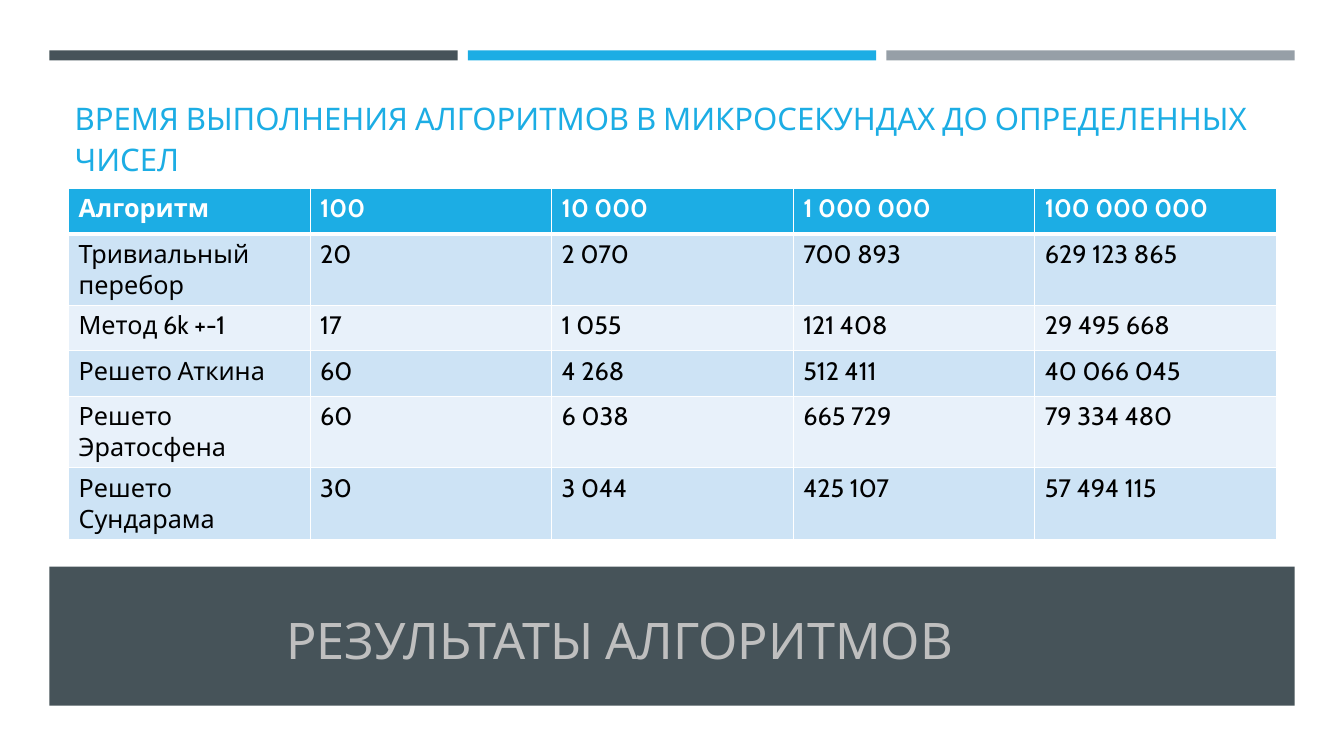
from pptx import Presentation
from pptx import util as u
from pptx.dml.color import RGBColor
from pptx.enum import shapes, text
from pptx.oxml import parse_xml
from pptx.oxml.ns import nsdecls

PX = 9144  # 100 px to the inch
DARK, BLUE, GREY, SILVER = "465359", "1CADE4", "969FA7", "BFBFBF"
WHITE, BLACK = "FFFFFF", "000000"
BANDS = ["CDE3F5", "E8F1FA"]
ROWS = [
    ["Алгоритм", "100", "10 000", "1 000 000", "100 000 000"],
    ["Тривиальный перебор", "20", "2 070", "700 893", "629 123 865"],
    ["Метод 6k +-1", "17", "1 055", "121 408", "29 495 668"],
    ["Решето Аткина", "60", "4 268", "512 411", "40 066 045"],
    ["Решето Эратосфена", "60", "6 038", "665 729", "79 334 480"],
    ["Решето Сундарама", "30", "3 044", "425 107", "57 494 115"],
]


def emu(*lengths):
    return [u.Emu(length * PX) for length in lengths]


def paint(color_target, color):
    """Give a fill or a font a solid colour."""
    if hasattr(color_target, "solid"):
        color_target.solid()
        color_target.fore_color.rgb = RGBColor.from_string(color)
    else:
        color_target.color.rgb = RGBColor.from_string(color)


def add_run(paragraph, words, font, size, color, bold=False):
    run = paragraph.add_run()
    run.text = words
    run.font.name, run.font.size, run.font.bold = font, u.Pt(size), bold
    paint(run.font, color)


def add_bar(slide, box, color):
    shape = slide.shapes.add_shape(shapes.MSO_SHAPE.RECTANGLE, *emu(*box))
    shape.shadow.inherit = False
    paint(shape.fill, color)
    shape.line.fill.background()


def add_top_bars(slide, box, gap):
    left, top, width, height = box
    bar_width = (width - 2 * gap) // 3
    for index, color in enumerate([DARK, BLUE, GREY]):
        add_bar(slide, (left + index * (bar_width + gap), top, bar_width, height), color)


def fill_placeholder(placeholder, box, anchor):
    """Move a placeholder and return its first paragraph, left aligned."""
    placeholder.left, placeholder.top, placeholder.width, placeholder.height = emu(*box)
    frame = placeholder.text_frame
    frame.word_wrap = True
    frame.auto_size = text.MSO_AUTO_SIZE.NONE
    frame.vertical_anchor = anchor
    paragraph = frame.paragraphs[0]
    paragraph.alignment = text.PP_ALIGN.LEFT
    return paragraph


def add_title_band(slide, box):
    left, top, width, height = box
    add_bar(slide, box, DARK)
    paragraph = fill_placeholder(
        slide.shapes.title, (left + 225, top, 786, height - 31), text.MSO_ANCHOR.BOTTOM)
    add_run(paragraph, "РЕЗУЛЬТАТЫ АЛГОРИТМОВ", "Karla", 36, SILVER)


def add_caption(slide, box):
    paragraph = fill_placeholder(slide.placeholders[1], box, text.MSO_ANCHOR.TOP)
    paragraph.line_spacing = 1.1
    paragraph.space_after = u.Pt(6)
    properties = paragraph._p.get_or_add_pPr()
    properties.set("marL", "0")
    properties.set("indent", "0")
    properties.append(parse_xml(f"<a:buNone {nsdecls('a')}/>"))
    add_run(paragraph, "ВРЕМЯ ВЫПОЛНЕНИЯ АЛГОРИТМОВ В МИКРОСЕКУНДАХ ДО ОПРЕДЕЛЕННЫХ ЧИСЕЛ",
            "Cabin", 22.2, BLUE)


def set_borders(cell, **widths):
    """Draw white cell borders; widths in points by side, before the fill is set."""
    properties = cell._tc.get_or_add_tcPr()
    for side, width in widths.items():
        properties.append(parse_xml(
            f'<a:ln{side} {nsdecls("a")} w="{u.Pt(width)}"><a:solidFill>'
            f'<a:srgbClr val="{WHITE}"/></a:solidFill></a:ln{side}>'))


def add_timing_table(slide, box):
    columns = len(ROWS[0])
    table = slide.shapes.add_table(len(ROWS), columns, *emu(*box)).table
    for row_index, row in enumerate(ROWS):
        header = row_index == 0
        for column_index, words in enumerate(row):
            cell = table.cell(row_index, column_index)
            set_borders(cell, L=1, R=1, T=3 if row_index == 1 else 1, B=3 if header else 1)
            paint(cell.fill, BLUE if header else BANDS[(row_index - 1) % 2])
            add_run(cell.text_frame.paragraphs[0], words, "Cabin", 18,
                    WHITE if header else BLACK, header)


def main():
    presentation = Presentation()
    presentation.slide_width, presentation.slide_height = emu(1333, 750)
    slide = presentation.slides.add_slide(presentation.slide_layouts[1])

    # Decorative bars along the top
    add_top_bars(slide, (49, 50, 1235, 10), 10)
    # Dark band with the title; the title is raised above the band
    add_title_band(slide, (49, 562, 1235, 138))
    title = slide.shapes.title._element
    title.getparent().append(title)
    # Caption and timings
    add_caption(slide, (64, 90, 1206, 67))
    add_timing_table(slide, (68, 187, 1198, 270))

    presentation.save("out.pptx")


if __name__ == "__main__":
    main()
